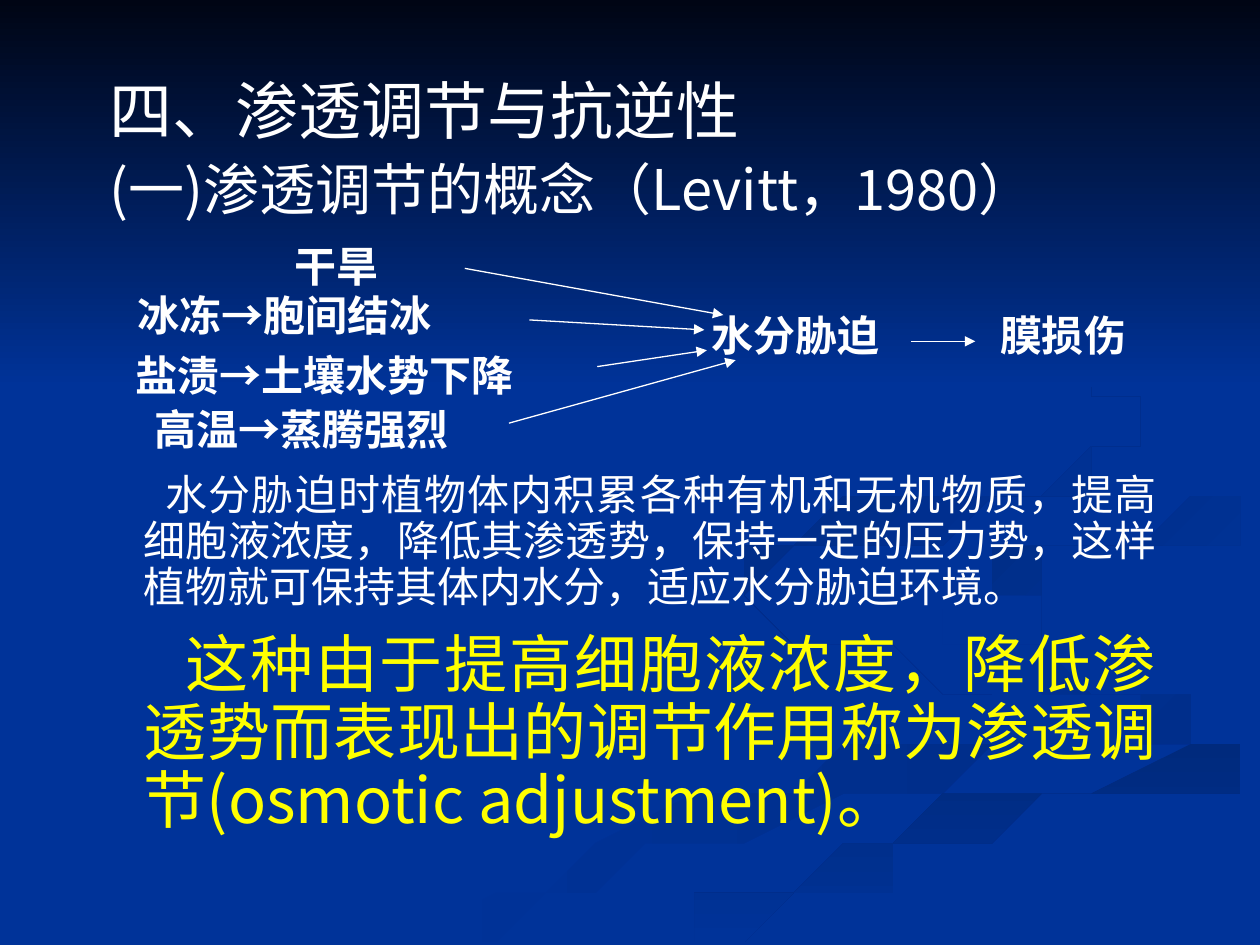
from pptx import Presentation
from pptx import util as u
from pptx.dml.color import RGBColor
from pptx.enum import shapes, text
from pptx.oxml import parse_xml
from pptx.oxml.ns import nsdecls, qn

SANS = "Noto Sans CJK SC"
SERIF = "Times New Roman"
WHITE, YELLOW, BLUE, NIGHT = "FFFFFF", "FFFF00", "003399", "000514"
STEPS = 5

WAVES = [
    ((BLUE, "002E8B"), 0,
     [(14.6, 11.7), (15.6, 12.7), (19.7, 14), (19, 14.9), (13.7, 16.5), (7.6, 19)],
     [(9.2, 19), (14.3, 16.9), (19.5, 15.5), (19.8, 14), (15.6, 12.6), (14.6, 11.7)]),
    ((BLUE, "002E8B"), 45,
     [(18.4, 11.8), (19.3, 12.7), (22.5, 13.7), (23.9, 14.5), (22.7, 15.4)],
     [(22.7, 15.4), (23.2, 14.5), (21.3, 13.6), (18.9, 12.6), (18.4, 11.8)]),
    (("002A7D", BLUE), 90,
     [(12.8, 19), (16, 17.6), (20.2, 16.2), (25.4, 14.8)],
     [(25.4, 15.5), (20.9, 16.5), (17.1, 17.8), (14.5, 19)]),
    (("002D86", BLUE), 45,
     [(21, 12.6), (19.8, 11.7), (20.9, 11), (25.4, 10.2)],
     [(25.4, 10.7), (21.8, 11.3), (20.4, 12), (21, 12.6)]),
    (("002B82", BLUE), 45,
     [(19.4, 5.9), (22.2, 7.8), (21.9, 9.4), (16.5, 10.7), (14.7, 11.7), (15.8, 12.7)],
     [(15.8, 12.7), (15.3, 11.6), (19.1, 10.6), (22.4, 9.4), (22.1, 7.3), (19.4, 5.9)]),
]


def color(value):
    return RGBColor.from_string(value)


def smooth_edge(points):
    padded = [points[0], *points, points[-1]]
    curve = [points[0]]
    for a, b, c, d in zip(padded, padded[1:], padded[2:], padded[3:]):
        for step in range(1, STEPS + 1):
            t = step / STEPS
            curve.append(tuple(
                q + t / 2 * (r - p + t * (2 * p - 5 * q + 4 * r - s
                                          + t * (3 * (q - r) + s - p)))
                for p, q, r, s in zip(a, b, c, d)))
    return curve


def shade(shape, tints, angle):
    shape.shadow.inherit = False
    shape.line.fill.background()
    shape.fill.gradient()
    shape.fill.gradient_angle = -angle % 360
    for stop, tint in zip(shape.fill.gradient_stops, tints):
        stop.color.rgb = color(tint)


def add_run(paragraph, content, size, tint=WHITE, face=SANS, bold=False):
    run = paragraph.add_run()
    run.text = content
    font = run.font
    font.size, font.bold, font.name = u.Pt(size), bold, face
    font.color.rgb = color(tint)
    if face == SANS:
        font._element.get_or_add_latin().addnext(
            parse_xml(f'<a:ea {nsdecls("a")} typeface="{face}"/>'))


def clear_margins(frame):
    frame.margin_left = frame.margin_right = 0
    frame.margin_top = frame.margin_bottom = 0
    frame.word_wrap = True


def add_text_box(slide, box):
    shape = slide.shapes.add_textbox(*map(u.Cm, box))
    shape.text_frame.word_wrap = True
    return shape


def draw_backdrop(slide, box):
    left, top, width, height = box
    slide.background.fill.solid()
    slide.background.fill.fore_color.rgb = color(BLUE)
    for tints, angle, outer, inner in WAVES:
        points = smooth_edge(outer) + smooth_edge(inner)
        builder = slide.shapes.build_freeform(*points[0], scale=u.Cm(1))
        builder.add_line_segments(points[1:], close=True)
        shade(builder.convert_to_shape(u.Cm(left), u.Cm(top)), tints, angle)
    sky = slide.shapes.add_shape(
        shapes.MSO_SHAPE.RECTANGLE, *map(u.Cm, (left, top, width, height * 0.41)))
    shade(sky, (NIGHT, BLUE), 90)


def write_heading(slide, box):
    left, top, width, height = box
    title = slide.shapes.title
    slide.shapes._spTree.append(title._element)
    title.left, title.top, title.width, title.height = map(
        u.Cm, (left, top, width, height / 2))
    subtitle = add_text_box(slide, (left, top + height / 2, width, height / 2))
    lines = [(title, "四、渗透调节与抗逆性", 36),
             (subtitle, "(一)渗透调节的概念（Levitt，1980）", 32)]
    for shape, content, size in lines:
        frame = shape.text_frame
        clear_margins(frame)
        frame.vertical_anchor = text.MSO_ANCHOR.MIDDLE
        paragraph = frame.paragraphs[0]
        paragraph.alignment = text.PP_ALIGN.LEFT
        add_run(paragraph, content, size)


def draw_stress_diagram(slide, box):
    left, top = box[:2]
    labels = [("干旱", 3.2, 0, 3), ("冰冻→胞间结冰", 0.03, 0.99, 6.43),
              ("盐渍→土壤水势下降", 0, 2.21, 9.45), ("高温→蒸腾强烈", 0.38, 3.28, 8.48),
              ("水分胁迫", 11.61, 1.4, 5.03), ("膜损伤", 17.42, 1.4, 3.4)]
    for content, x, y, width in labels:
        shape = add_text_box(slide, (left + x, top + y, width, 1.27))
        add_run(shape.text_frame.paragraphs[0], content, 24, face=SERIF, bold=True)

    arrows = [(6.88, 0.69, 12.09, 1.63), (8.18, 1.73, 11.71, 1.93),
              (9.55, 2.67, 11.76, 2.34), (7.77, 3.81, 12.34, 2.54),
              (15.88, 2.16, 17.17, 2.16)]
    for x1, y1, x2, y2 in arrows:
        ends = (left + x1, top + y1, left + x2, top + y2)
        arrow = slide.shapes.add_connector(
            shapes.MSO_CONNECTOR.STRAIGHT, *map(u.Cm, ends))
        arrow.line.color.rgb = color(WHITE)
        arrow.line.width = u.Pt(0.75)
        line = arrow._element.spPr.find(qn("a:ln"))
        line.append(parse_xml(f'<a:tailEnd {nsdecls("a")} type="triangle"/>'))
        line.addnext(parse_xml(f'<a:effectLst {nsdecls("a")}/>'))


def write_explanation(slide, box):
    frame = add_text_box(slide, box).text_frame
    clear_margins(frame)
    passages = [
        ("水分胁迫时植物体内积累各种有机和无机物质，提高细胞液浓度，降低其渗透势，"
         "保持一定的压力势，这样植物就可保持其体内水分，适应水分胁迫环境。",
         24, WHITE, 26.5, 0, 0.44),
        ("这种由于提高细胞液浓度，降低渗透势而表现出的调节作用称为渗透调节"
         "(osmotic adjustment)。", 36, YELLOW, 39, 11.5, 0.84)]
    for index, (content, size, tint, pitch, gap, indent) in enumerate(passages):
        paragraph = frame.add_paragraph() if index else frame.paragraphs[0]
        paragraph.alignment = text.PP_ALIGN.JUSTIFY
        paragraph.line_spacing = u.Pt(pitch)
        if gap:
            paragraph.space_before = u.Pt(gap)
        paragraph._p.get_or_add_pPr().set("indent", str(u.Cm(indent)))
        add_run(paragraph, content, size, tint)


def main():
    presentation = Presentation()
    presentation.slide_width, presentation.slide_height = u.Cm(25.4), u.Cm(19.05)
    slide = presentation.slides.add_slide(presentation.slide_layouts[5])
    draw_backdrop(slide, (0, 0, 25.4, 19.05))
    write_heading(slide, (2.2, 1.42, 21, 3.16))
    draw_stress_diagram(slide, (2.49, 4.72, 20.82, 4.55))
    write_explanation(slide, (2.9, 9.52, 20.42, 7.4))
    presentation.save("out.pptx")


if __name__ == "__main__":
    main()
